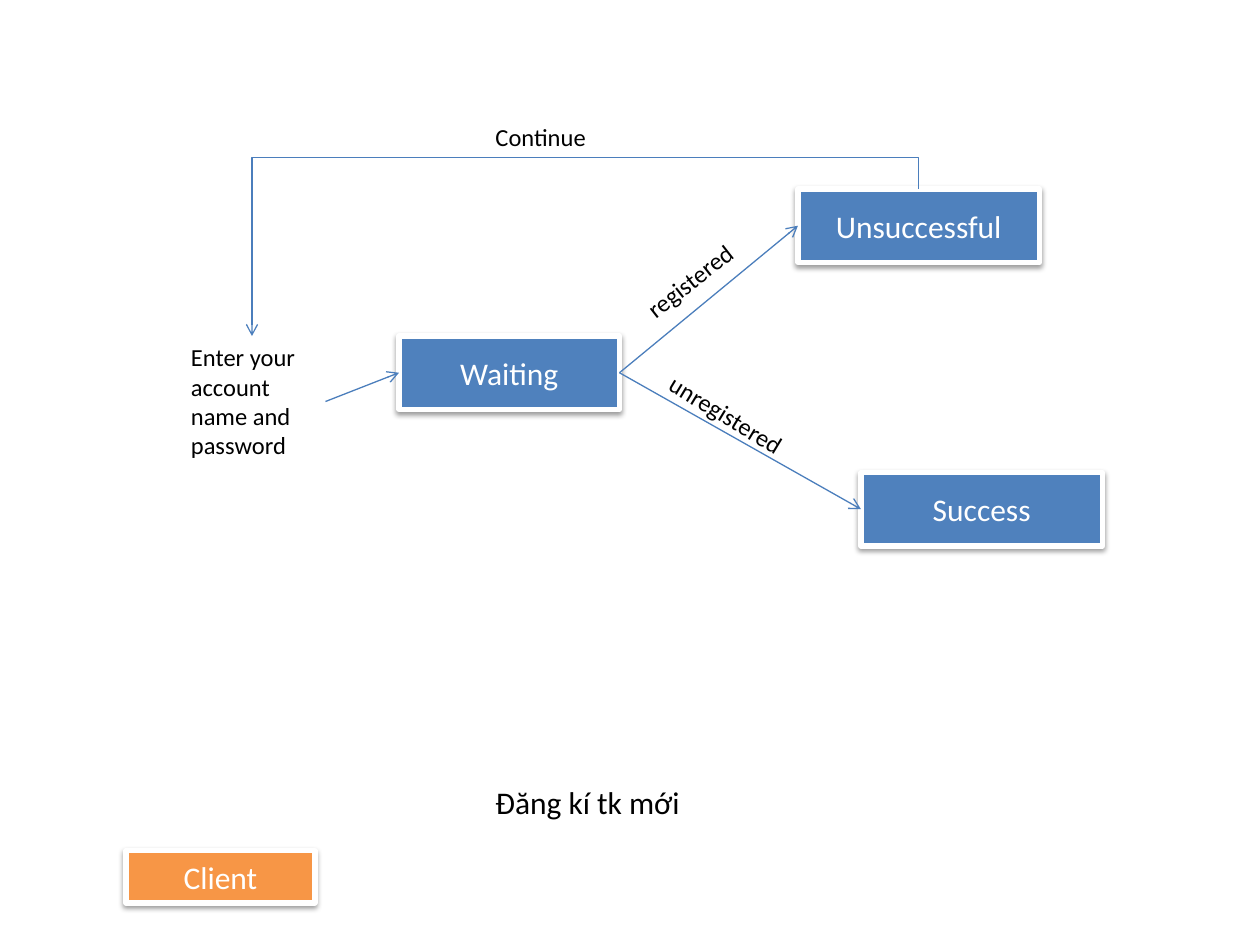
from lxml import etree
from pptx import Presentation
from pptx import util as u
from pptx.dml.color import RGBColor
from pptx.enum import shapes, text
from pptx.oxml import parse_xml
from pptx.oxml.ns import nsdecls, qn

COLORS = {"state": "4F81BD", "client": "F79646", "arrow": "4B7EBC",
          "white": "FFFFFF", "black": "000000"}
FONT = "Calibri"
SHADOW = (f'<a:effectLst {nsdecls("a")}><a:outerShdw blurRad="{u.Pt(3.1)}" '
          f'dist="{u.Pt(1.6)}" dir="5400000" rotWithShape="0"><a:srgbClr val="000000">'
          '<a:alpha val="38000"/></a:srgbClr></a:outerShdw></a:effectLst>')

# Left, top, width, height in points
STATES = {
    "Unsuccessful": (456, 108, 138, 42),
    "Success": (492, 270, 138, 42),
    "Waiting": (228, 192, 126, 42),
}
CLIENT = (72, 486, 108, 30)
PROMPT = (102, 192, 84, 74.9)


def rgb(name):
    """Return the named colour."""
    return RGBColor.from_string(COLORS[name])


def points(values):
    """Turn numbers into lengths in points."""
    return [u.Pt(value) for value in values]


def write(shape, words, **formats):
    """Put one formatted paragraph into a shape."""
    values = {"size": 18, "color": "black", "align": text.PP_ALIGN.LEFT,
              "anchor": text.MSO_ANCHOR.TOP, "wrap": True} | formats
    frame = shape.text_frame
    frame.word_wrap = values["wrap"]
    frame.vertical_anchor = values["anchor"]
    paragraph = frame.paragraphs[0]
    paragraph.alignment = values["align"]
    run = paragraph.add_run()
    run.text = words
    for name, value in {"name": FONT, "size": u.Pt(values["size"])}.items():
        setattr(run.font, name, value)
    run.font.color.rgb = rgb(values["color"])


def add_box(slide, words, place, fill):
    """Add a filled box with a white border and a soft shadow."""
    shape = slide.shapes.add_shape(shapes.MSO_SHAPE.RECTANGLE, *points(place))
    shape.fill.solid()
    shape.fill.fore_color.rgb = rgb(fill)
    shape.line.color.rgb = rgb("white")
    shape.line.width = u.Pt(3)
    shape._element.spPr.append(parse_xml(SHADOW))
    write(shape, words, color="white", align=text.PP_ALIGN.CENTER,
          anchor=text.MSO_ANCHOR.MIDDLE)


def add_label(slide, words, place, rotation=0, **formats):
    """Add a text box, turned if needed."""
    shape = slide.shapes.add_textbox(*points(place))
    write(shape, words, **formats)
    shape.text_frame.auto_size = text.MSO_AUTO_SIZE.SHAPE_TO_FIT_TEXT
    shape.rotation = rotation


def add_arrow(slide, start, end, kind=shapes.MSO_CONNECTOR.STRAIGHT):
    """Add a thin connector with an open arrowhead at its end."""
    connector = slide.shapes.add_connector(kind, *points(start + end))
    connector.line.color.rgb = rgb("arrow")
    connector.line.width = u.Pt(0.75)
    properties = connector._element.spPr
    etree.SubElement(properties.find(qn("a:ln")), qn("a:tailEnd"), type="arrow")
    etree.SubElement(properties, qn("a:effectLst"))
    return connector


def add_return_arrow(slide, start, end, rise):
    """Add an elbow arrow that leaves upwards, runs left and drops to its end."""
    middle_x, middle_y = [(a + b) / 2 for a, b in zip(start, end)]
    half_run, half_drop = (start[0] - end[0]) / 2, (end[1] - start[1]) / 2
    connector = add_arrow(slide, (middle_x + half_drop, middle_y + half_run),
                          (middle_x - half_drop, middle_y - half_run),
                          shapes.MSO_CONNECTOR.ELBOW)
    properties = connector._element.spPr
    properties.find(qn("a:xfrm")).set("rot", str(270 * 60000))
    guides = properties.find(qn("a:prstGeom")).get_or_add_avLst()
    bend = round(-rise / (2 * half_drop) * 100000)
    etree.SubElement(guides, qn("a:gd"), name="adj1", fmla=f"val {bend}")


def left_side(place):
    """Return the middle of a place's left side."""
    return place[0], place[1] + place[3] / 2


def right_side(place):
    """Return the middle of a place's right side."""
    return place[0] + place[2], place[1] + place[3] / 2


def top_side(place):
    """Return the middle of a place's top side."""
    return place[0] + place[2] / 2, place[1]


def main():
    """Build the registration flow slide."""
    presentation = Presentation()
    presentation.slide_width, presentation.slide_height = points((720, 540))
    slide = presentation.slides.add_slide(presentation.slide_layouts[6])

    for words, place in STATES.items():
        add_box(slide, words, place, "state")
    add_box(slide, "Client", CLIENT, "client")

    waiting = STATES["Waiting"]
    add_arrow(slide, right_side(PROMPT), left_side(waiting))
    for outcome in ("Unsuccessful", "Success"):
        add_arrow(slide, right_side(waiting), left_side(STATES[outcome]))
    add_return_arrow(slide, top_side(STATES["Unsuccessful"]), top_side(PROMPT), 18)

    add_label(slide, "Continue", (276, 66, 84, 24.2), size=14)
    add_label(slide, "unregistered", (366.5, 243.4, 158.4, 24.2), 31.2, size=14)
    add_label(slide, "registered", (314.6, 148.3, 159.1, 24.2), 322, size=14,
              align=text.PP_ALIGN.CENTER)
    add_label(slide, "Enter your account name and password", PROMPT, size=14)
    add_label(slide, "Đăng kí tk mới", (276, 444, 121, 29.1), wrap=False)
    presentation.save("out.pptx")


main()
